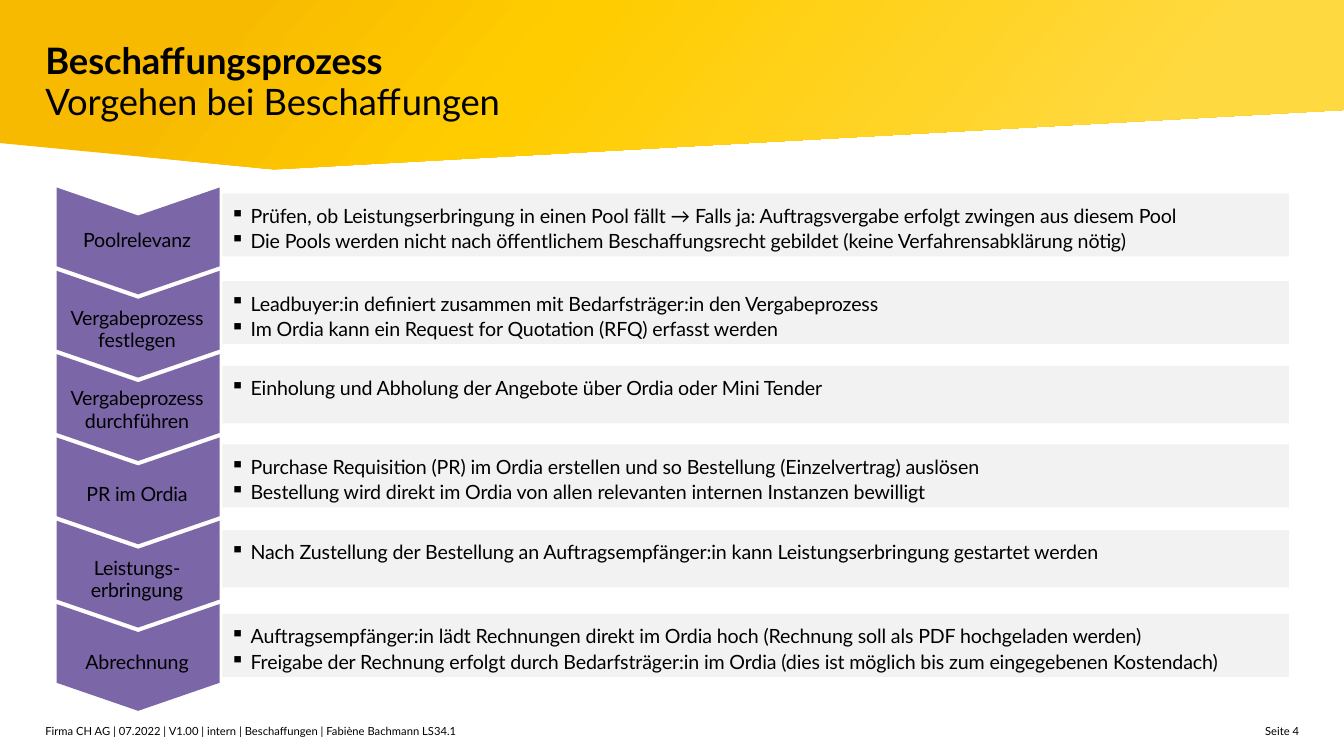
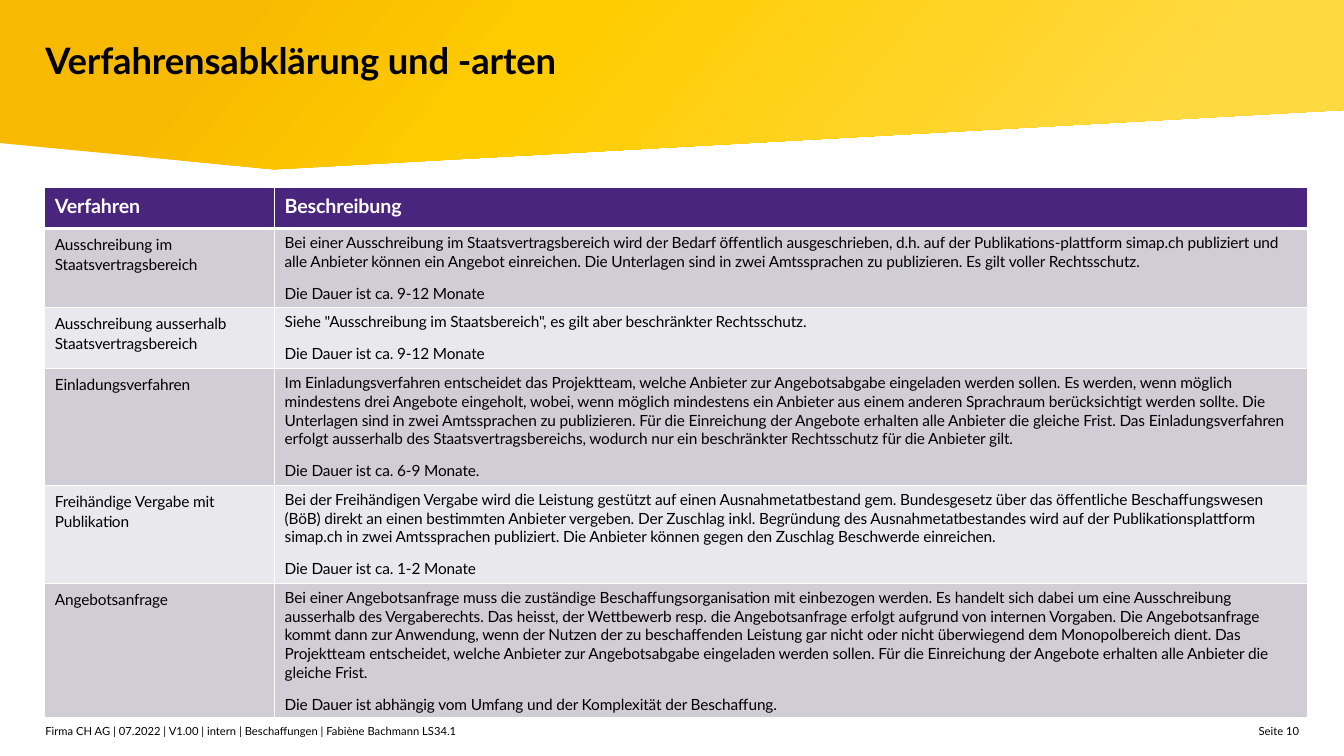
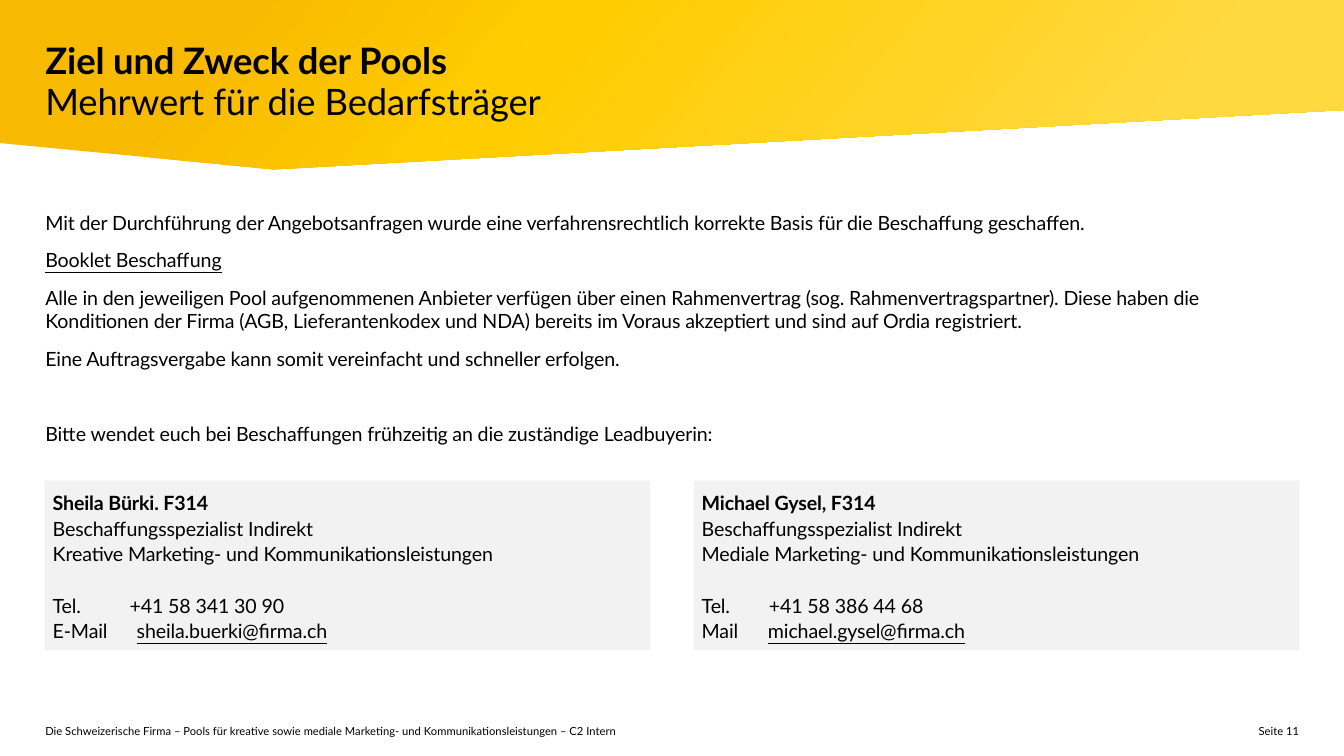
import pptx
import pptx.dml.color
import pptx.enum.shapes
import pptx.enum.text
import pptx.oxml.ns
import pptx.util
import copy
import lxml.etree

Pt = pptx.util.Pt
RGBColor = pptx.dml.color.RGBColor
qn = pptx.oxml.ns.qn
SHAPE = pptx.enum.shapes.MSO_SHAPE
ALIGN = pptx.enum.text.PP_ALIGN
TOP = pptx.enum.text.MSO_ANCHOR.TOP
NO_FIT = pptx.enum.text.MSO_AUTO_SIZE.NONE

FONT = "Lato"
BLACK = RGBColor(0x00, 0x00, 0x00)
WHITE = RGBColor(0xFF, 0xFF, 0xFF)
LIGHT_GREY = RGBColor(0xF2, 0xF2, 0xF2)
PURPLE = RGBColor(0x7B, 0x67, 0xA8)
DARK_PURPLE = RGBColor(0x4A, 0x25, 0x7D)
ROW_FILLS = [RGBColor(0xE9, 0xE8, 0xEC), RGBColor(0xD0, 0xCD, 0xD7)]
BAND_STOPS = [
    (0.16, RGBColor(0xF7, 0xBA, 0x00)),
    (0.40, RGBColor(0xFF, 0xCC, 0x00)),
    (0.85, RGBColor(0xFF, 0xD9, 0x40)),
]
BAND_CORNERS = [(0, 0), (960, 0), (960, 78.5), (195.8, 121)]
MARGIN = 32.4
LOOSE = 1.09


def add_frame(slide, left, top, width, height, inset=0, fill=None):
    """Add a text box, or a filled rectangle if a fill is given; return its text frame."""
    box = Pt(left), Pt(top), Pt(width), Pt(height)
    if fill is None:
        holder = slide.shapes.add_textbox(*box)
    else:
        holder = slide.shapes.add_shape(SHAPE.RECTANGLE, *box)
        holder.shadow.inherit = False
        holder.fill.solid()
        holder.fill.fore_color.rgb = fill
        holder.line.fill.background()
    frame = holder.text_frame
    frame.word_wrap = True
    frame.vertical_anchor = TOP
    frame.margin_left = frame.margin_right = Pt(inset)
    frame.margin_top = frame.margin_bottom = Pt(inset)
    return frame


def write(frame, text, size=14, spacing=None, color=BLACK, bold=False,
          align=ALIGN.LEFT, tracking=-10, bullet=False, tab=None):
    """Fill the empty first paragraph, or append one, and return it."""
    paragraph = frame.paragraphs[0]
    if paragraph.runs:
        paragraph = frame.add_paragraph()
    paragraph.add_run().text = text
    paragraph.alignment = align
    paragraph.line_spacing = spacing
    properties = paragraph._p.get_or_add_pPr()
    if bullet:
        properties.set("marL", str(Pt(14.4)))
        properties.set("indent", str(-Pt(14.4)))
        lxml.etree.SubElement(properties, qn("a:buChar"), char="▪")
    if tab:
        stops = lxml.etree.SubElement(properties, qn("a:tabLst"))
        lxml.etree.SubElement(stops, qn("a:tab"), pos=str(Pt(tab)), algn="l")
    paragraph.font.name = FONT
    paragraph.font.size = Pt(size)
    paragraph.font.bold = bold
    paragraph.font.color.rgb = color
    properties.find(qn("a:defRPr")).set("spc", str(tracking))
    return paragraph


deck = pptx.Presentation()
deck.slide_width = Pt(960)
deck.slide_height = Pt(540)

# Title, band and footer of every slide
PROCESS_FOOTER = "Firma CH AG | 07.2022 | V1.00 | intern | Beschaffungen | Fabiène Bachmann LS34.1"
POOL_FOOTER = ("Die Schweizerische Firma – Pools für kreative sowie mediale Marketing- und "
               "Kommunikationsleistungen – C2 Intern")
headings = [
    ("Beschaffungsprozess", "Vorgehen bei Beschaffungen", PROCESS_FOOTER, 4),
    ("Verfahrensabklärung und -arten", None, PROCESS_FOOTER, 10),
    ("Ziel und Zweck der Pools", "Mehrwert für die Bedarfsträger", POOL_FOOTER, 11),
]
for heading, subheading, footer, page in headings:
    slide = deck.slides.add_slide(deck.slide_layouts[5])
    outline = slide.shapes.build_freeform(0, Pt(102.2), scale=1.0)
    outline.add_line_segments([(Pt(x), Pt(y)) for x, y in BAND_CORNERS], close=True)
    band = outline.convert_to_shape()
    band.shadow.inherit = False
    band.line.fill.background()
    band.fill.gradient()
    band.fill.gradient_angle = 320
    stop_list = band._element.spPr.find(".//" + qn("a:gsLst"))
    stop_list.insert(1, copy.deepcopy(stop_list[0]))
    for stop, (position, color) in zip(band.fill.gradient_stops, BAND_STOPS):
        stop.position = position
        stop.color.rgb = color
    slide.shapes._spTree.insert(2, band._element)

    title = slide.shapes.title
    title.left, title.top, title.width, title.height = Pt(MARGIN), Pt(29.5), Pt(895.6), Pt(65.5)
    title_frame = title.text_frame
    title_frame.auto_size = NO_FIT
    title_frame.vertical_anchor = TOP
    title_frame.margin_left = title_frame.margin_right = 0
    title_frame.margin_top = title_frame.margin_bottom = 0
    title_line = write(title_frame, heading, 26, Pt(29), bold=True)
    if subheading:
        title_line.add_line_break()
        second_line = title_line.add_run()
        second_line.text = subheading
        second_line.font.bold = False

    write(add_frame(slide, MARGIN, 516.2, 612, 11.5), footer, 8, LOOSE, tracking=0)
    write(add_frame(slide, 885.6, 516.2, 42.4, 11.5), f"Seite {page}", 8, LOOSE,
          align=ALIGN.RIGHT, tracking=0)

process_slide, procedure_slide, pool_slide = deck.slides

# Process steps: label, label top, bar top, bullets
steps = [
    ("Poolrelevanz", 158.4, 138.2, [
        "Prüfen, ob Leistungserbringung in einen Pool fällt → Falls ja: Auftragsvergabe erfolgt "
        "zwingen aus diesem Pool",
        "Die Pools werden nicht nach öffentlichem Beschaffungsrecht gebildet (keine "
        "Verfahrensabklärung nötig)"]),
    ("Vergabeprozess festlegen", 213.8, 200.9, [
        "Leadbuyer:in definiert zusammen mit Bedarfsträger:in den Vergabeprozess",
        "Im Ordia kann ein Request for Quotation (RFQ) erfasst werden"]),
    ("Vergabeprozess durchführen", 271.4, 261.4, [
        "Einholung und Abholung der Angebote über Ordia oder Mini Tender"]),
    ("PR im Ordia", 340, 317.5, [
        "Purchase Requisition (PR) im Ordia erstellen und so Bestellung (Einzelvertrag) auslösen",
        "Bestellung wird direkt im Ordia von allen relevanten internen Instanzen bewilligt"]),
    ("Leistungs-erbringung", 392.4, 378.7, [
        "Nach Zustellung der Bestellung an Auftragsempfänger:in kann Leistungserbringung "
        "gestartet werden"]),
    ("Abrechnung", 459.3, 438.5, [
        "Auftragsempfänger:in lädt Rechnungen direkt im Ordia hoch (Rechnung soll als PDF "
        "hochgeladen werden)",
        "Freigabe der Rechnung erfolgt durch Bedarfsträger:in im Ordia (dies ist möglich bis zum "
        "eingegebenen Kostendach)"]),
]
for number, (label, label_top, bar_top, bullets) in enumerate(steps):
    chevron = process_slide.shapes.add_shape(
        SHAPE.CHEVRON, Pt(60.5), Pt(113.8 + 59.5 * number), Pt(76.3), Pt(116.6))
    chevron.rotation = 90
    chevron.adjustments[0] = 0.263
    chevron.shadow.inherit = False
    chevron.fill.solid()
    chevron.fill.fore_color.rgb = PURPLE
    chevron.line.fill.background()
    label_frame = add_frame(process_slide, 39.6, label_top, 116.6, 44, inset=5.8)
    write(label_frame, label, spacing=0.95, align=ALIGN.CENTER)
    bar = add_frame(process_slide, 158.8, bar_top, 761.8, 37 + 4 * len(bullets),
                    inset=5.8, fill=LIGHT_GREY)
    for bullet in bullets:
        write(bar, bullet, spacing=LOOSE, bullet=True)

# Procedures: row height, name, description, duration
procedures = [
    (29.5, "Verfahren", "Beschreibung", None),
    (56, "Ausschreibung im Staatsvertragsbereich",
     "Bei einer Ausschreibung im Staatsvertragsbereich wird der Bedarf öffentlich ausgeschrieben, "
     "d.h. auf der Publikations-plattform simap.ch publiziert und alle Anbieter können ein Angebot "
     "einreichen. Die Unterlagen sind in zwei Amtssprachen zu publizieren. Es gilt voller "
     "Rechtsschutz.",
     "Die Dauer ist ca. 9-12 Monate"),
    (43.5, "Ausschreibung ausserhalb Staatsvertragsbereich",
     "Siehe \"Ausschreibung im Staatsbereich\", es gilt aber beschränkter Rechtsschutz.",
     "Die Dauer ist ca. 9-12 Monate"),
    (83.5, "Einladungsverfahren",
     "Im Einladungsverfahren entscheidet das Projektteam, welche Anbieter zur Angebotsabgabe "
     "eingeladen werden sollen. Es werden, wenn möglich mindestens drei Angebote eingeholt, wobei, "
     "wenn möglich mindestens ein Anbieter aus einem anderen Sprachraum berücksichtigt werden "
     "sollte. Die Unterlagen sind in zwei Amtssprachen zu publizieren. Für die Einreichung der "
     "Angebote erhalten alle Anbieter die gleiche Frist. Das Einladungsverfahren erfolgt "
     "ausserhalb des Staatsvertragsbereichs, wodurch nur ein beschränkter Rechtsschutz für die "
     "Anbieter gilt.",
     "Die Dauer ist ca. 6-9 Monate."),
    (70, "Freihändige Vergabe mit Publikation",
     "Bei der Freihändigen Vergabe wird die Leistung gestützt auf einen Ausnahmetatbestand gem. "
     "Bundesgesetz über das öffentliche Beschaffungswesen (BöB) direkt an einen bestimmten Anbieter "
     "vergeben. Der Zuschlag inkl. Begründung des Ausnahmetatbestandes wird auf der "
     "Publikationsplattform simap.ch in zwei Amtssprachen publiziert. Die Anbieter können gegen den "
     "Zuschlag Beschwerde einreichen.",
     "Die Dauer ist ca. 1-2 Monate"),
    (96, "Angebotsanfrage",
     "Bei einer Angebotsanfrage muss die zuständige Beschaffungsorganisation mit einbezogen werden. "
     "Es handelt sich dabei um eine Ausschreibung ausserhalb des Vergaberechts. Das heisst, der "
     "Wettbewerb resp. die Angebotsanfrage erfolgt aufgrund von internen Vorgaben. Die "
     "Angebotsanfrage kommt dann zur Anwendung, wenn der Nutzen der zu beschaffenden Leistung gar "
     "nicht oder nicht überwiegend dem Monopolbereich dient. Das Projektteam entscheidet, welche "
     "Anbieter zur Angebotsabgabe eingeladen werden sollen. Für die Einreichung der Angebote "
     "erhalten alle Anbieter die gleiche Frist.",
     "Die Dauer ist abhängig vom Umfang und der Komplexität der Beschaffung."),
]
table = procedure_slide.shapes.add_table(
    len(procedures), 2, Pt(32), Pt(133.7), Pt(902), Pt(378.5)).table
table.columns[0].width, table.columns[1].width = Pt(164.2), Pt(737.8)
for row, (height, name, description, duration) in enumerate(procedures):
    table.rows[row].height = Pt(height)
    is_header = row == 0
    for column, text in enumerate([name, description]):
        cell = table.cell(row, column)
        loose = is_header or column == 0
        write(cell.text_frame, text, 14 if is_header else 11, LOOSE if loose else None,
              WHITE if is_header else BLACK, bold=is_header)
        if duration and column == 1:
            write(cell.text_frame, duration, 11).space_before = Pt(9.6)
        cell_properties = cell._tc.get_or_add_tcPr()
        for side in "LRTB":
            thick = (row, side) in [(0, "B"), (1, "T")]
            edge = lxml.etree.SubElement(cell_properties, qn("a:ln" + side),
                                         w=str(Pt(3 if thick else 1)))
            edge_fill = lxml.etree.SubElement(edge, qn("a:solidFill"))
            lxml.etree.SubElement(edge_fill, qn("a:srgbClr"), val=str(WHITE))
        cell.fill.solid()
        cell.fill.fore_color.rgb = DARK_PURPLE if is_header else ROW_FILLS[row % 2]

# Benefits of the pools
benefits = add_frame(pool_slide, MARGIN, 150.5, 895.6, 180.7)
for text in [
    "Mit der Durchführung der Angebotsanfragen wurde eine verfahrensrechtlich korrekte Basis für "
    "die Beschaffung geschaffen.",
    "Booklet Beschaffung",
    "Alle in den jeweiligen Pool aufgenommenen Anbieter verfügen über einen Rahmenvertrag (sog. "
    "Rahmenvertragspartner). Diese haben die Konditionen der Firma (AGB, Lieferantenkodex und NDA) "
    "bereits im Voraus akzeptiert und sind auf Ordia registriert.",
    "Eine Auftragsvergabe kann somit vereinfacht und schneller erfolgen.",
    "Bitte wendet euch bei Beschaffungen frühzeitig an die zuständige Leadbuyerin:",
]:
    benefit = write(benefits, text)
    benefit.space_after = Pt(10)
benefits.paragraphs[1].font.underline = True
benefit.space_before = Pt(26.8)

# Contacts: left, name, field, phone with tab, mail label with tab, address
contacts = [
    (31.8, "Sheila Bürki. F314", "Kreative Marketing- und Kommunikationsleistungen",
     "+41 58 341 30 90", 55, "E-Mail", 60, "sheila.buerki@firma.ch"),
    (495.4, "Michael Gysel, F314", "Mediale Marketing- und Kommunikationsleistungen",
     "+41 58 386 44 68", 48, "Mail", 47.3, "michael.gysel@firma.ch"),
]
for left, name, field, phone, phone_tab, mail_label, mail_tab, address in contacts:
    card = add_frame(pool_slide, left, 343.4, 432.7, 121, inset=5.8, fill=LIGHT_GREY)
    write(card, name, spacing=LOOSE, bold=True)
    write(card, "Beschaffungsspezialist Indirekt", spacing=LOOSE)
    write(card, field, spacing=LOOSE)
    write(card, f"Tel.\t{phone}", spacing=LOOSE, tab=phone_tab).space_before = Pt(18.3)
    mail = write(card, f"{mail_label}\t", spacing=LOOSE, tab=mail_tab).add_run()
    mail.text = address
    mail.font.underline = True

deck.save("out.pptx")
